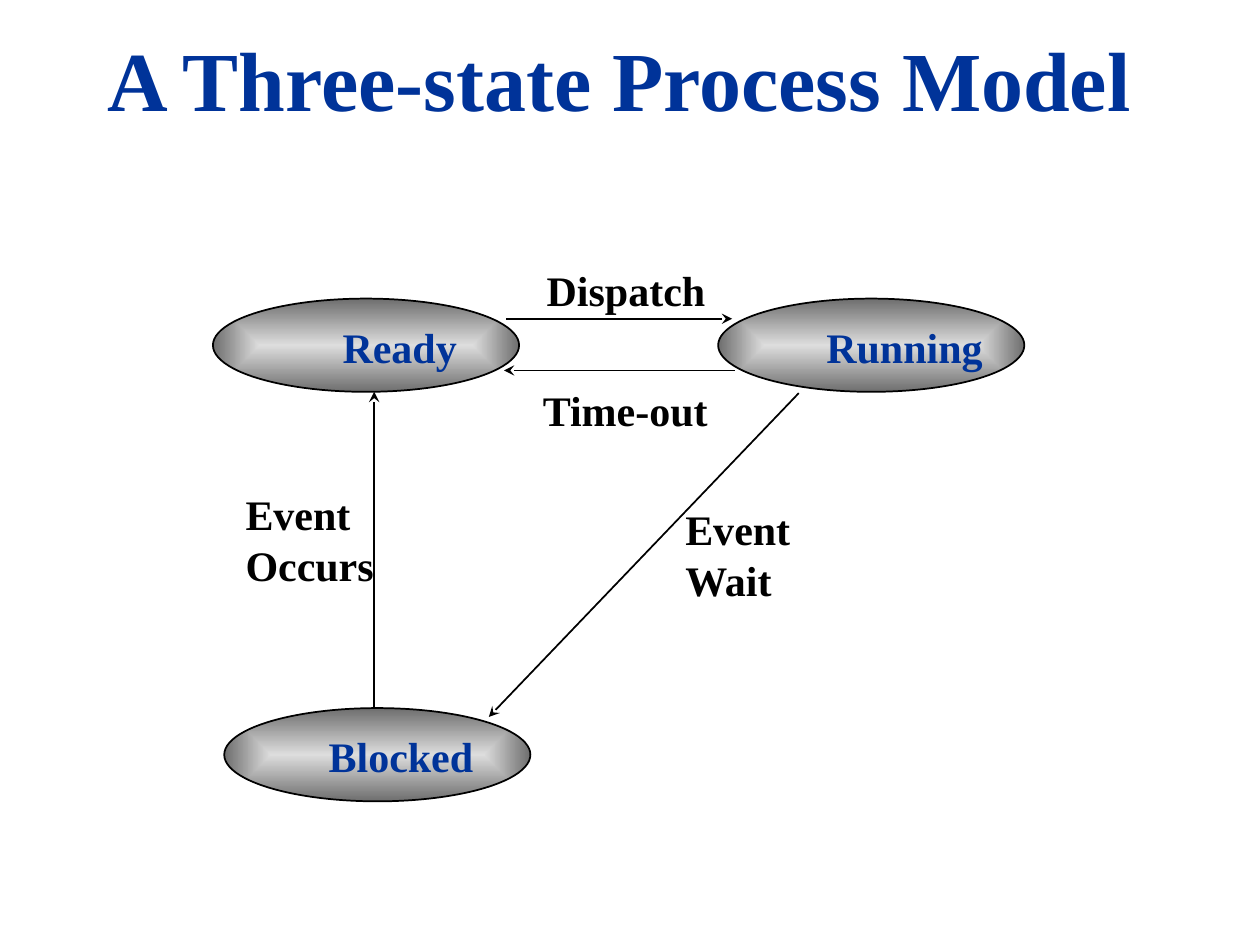
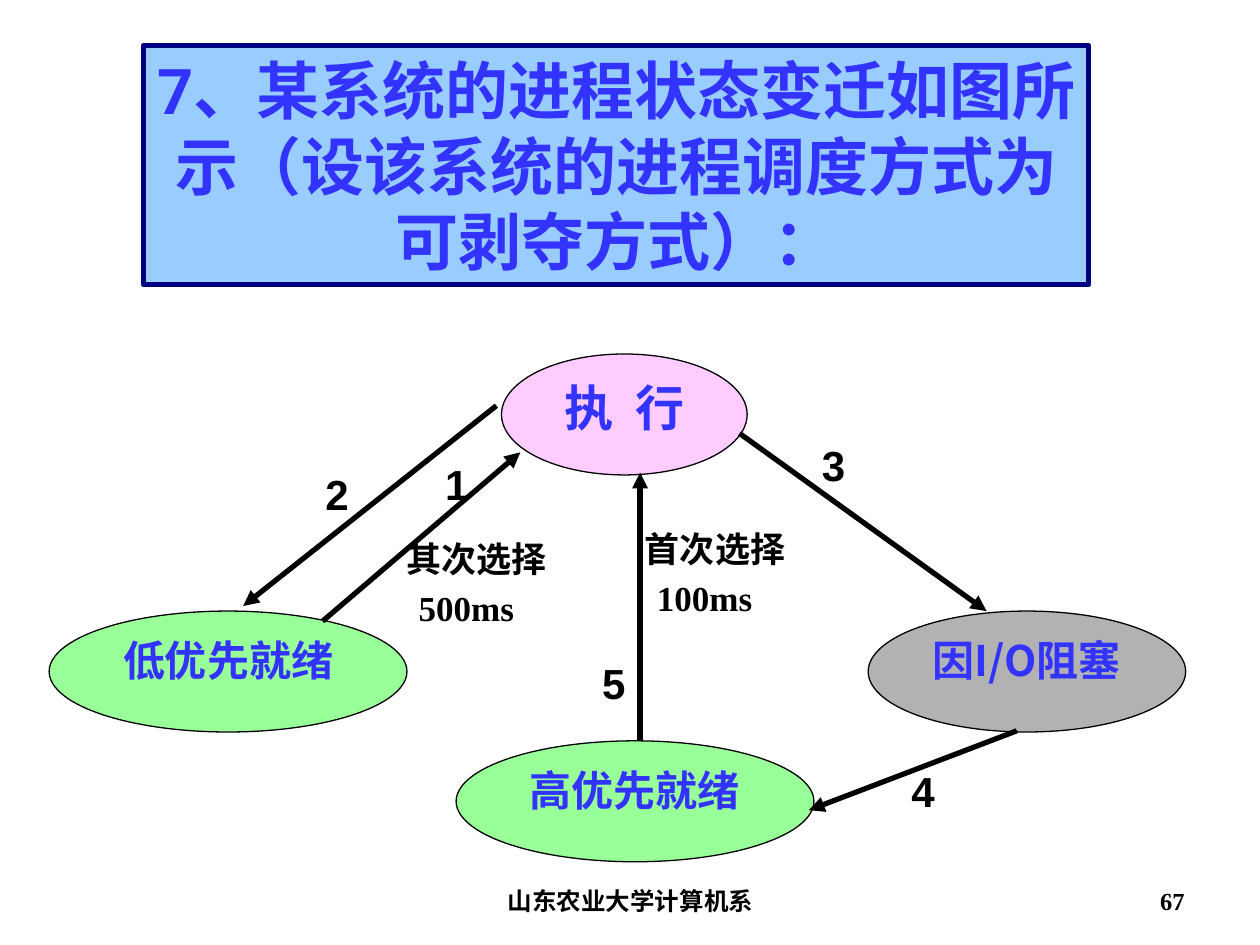
from lxml import etree
from pptx import Presentation, util as u
from pptx.dml.color import RGBColor
from pptx.enum import shapes, text
from pptx.oxml import ns

PX = 9144  # EMU per px, 100 px to the inch
SERIF, SANS, CJK, HEADING = "Times New Roman", "Arial", "Noto Sans CJK SC", "Roboto"
BLACK, NAVY, BLUE = "000000", "003399", "3333FF"
LEFT, CENTER, RIGHT = text.PP_ALIGN.LEFT, text.PP_ALIGN.CENTER, text.PP_ALIGN.RIGHT
TOP, MIDDLE = text.MSO_ANCHOR.TOP, text.MSO_ANCHOR.MIDDLE


def rgb(code):
    return RGBColor.from_string(code)


def px(*lengths):
    return [length * PX for length in lengths]


def assign(target, values):
    for name, value in values.items():
        setattr(target, name, value)


class Deck:
    """Holds the shared style and the slide being drawn."""

    def __init__(self, width, height):
        self.prs = Presentation()
        self.prs.slide_width, self.prs.slide_height = px(width, height)

    def new_slide(self):
        self.slide = self.prs.slides.add_slide(self.prs.slide_layouts[6])

    def fill_text(self, shape, lines, size=24, font=SERIF, color=BLACK,
                  align=LEFT, anchor=TOP, wrap=True, spacing=0):
        frame = shape.text_frame
        assign(frame, {"word_wrap": wrap, "vertical_anchor": anchor,
                       "text": lines})
        for paragraph in frame.paragraphs:
            paragraph.alignment = align
            for run in paragraph.runs:
                assign(run.font, {"size": u.Pt(size), "name": font, "bold": True})
                run.font.color.rgb = rgb(color)
                if spacing:
                    run._r.get_or_add_rPr().set("spc", str(spacing * 100))

    def label(self, box, lines, **style):
        caption = self.slide.shapes.add_textbox(*px(*box))
        self.fill_text(caption, lines, **style)
        return caption

    def outlined(self, kind, box, fill=None, weight=1, outline=BLACK):
        shape = self.slide.shapes.add_shape(kind, *px(*box))
        shape.shadow.inherit = False
        if fill:
            shape.fill.solid()
            shape.fill.fore_color.rgb = rgb(fill)
        shape.line.color.rgb = rgb(outline)
        shape.line.width = u.Pt(weight)
        return shape

    def oval(self, box, **style):
        return self.outlined(shapes.MSO_SHAPE.OVAL, box, **style)

    def metal_oval(self, box):
        """Oval shaded from a light centre to a dark rim."""
        state = self.oval(box)
        state.fill.gradient()
        for stop, shade in zip(state.fill.gradient_stops, ("DDDDDD", "6E6E6E")):
            stop.color.rgb = rgb(shade)
        linear = state._element.spPr.find(".//" + ns.qn("a:lin"))
        rect = etree.Element(ns.qn("a:path"), {"path": "rect"})
        etree.SubElement(rect, ns.qn("a:fillToRect"),
                         dict.fromkeys("ltrb", "50000"))
        linear.getparent().replace(linear, rect)

    def arrow(self, ends, weight, head):
        link = self.slide.shapes.add_connector(
            shapes.MSO_CONNECTOR.STRAIGHT, *px(*ends))
        link.line.color.rgb = rgb(BLACK)
        link.line.width = u.Pt(weight)
        properties = link._element.spPr
        etree.SubElement(properties.find(ns.qn("a:ln")), ns.qn("a:tailEnd"),
                         {"type": head})
        etree.SubElement(properties, ns.qn("a:effectLst"))


def three_state_model(deck):
    deck.new_slide()
    deck.label((33, 28, 917, 67), "A Three-state Process Model",
               size=48, color=NAVY, align=CENTER, anchor=MIDDLE)

    states = [
        ("Ready", (169, 237), (262, 111)),
        ("Running", (570, 237), (646, 144)),
        ("Blocked", (178, 562), (251, 135)),
    ]
    for name, (left, top), (name_left, name_width) in states:
        deck.metal_oval((left, top, 243, 74))
        deck.label((name_left, top + 13, name_width, 50), name,
                   color=NAVY, wrap=False)

    transitions = [
        ("Dispatch", (424, 205, 162, 50), (402, 253, 581, 253)),
        ("Time-out", (421, 300, 184, 50), (583, 294, 400, 294)),
        ("Event\nOccurs", (185, 383, 172, 90), (297, 562, 297, 311)),
        ("Event\nWait", (534, 395, 142, 90), (634, 312, 388, 569)),
    ]
    for event, box, ends in transitions:
        deck.arrow(ends, 1, "stealth")
        deck.label(box, event)


def priority_scheduling(deck):
    deck.new_slide()
    footer = {"size": 14, "anchor": MIDDLE}
    deck.label((342, 695, 317, 40), "山东农业大学计算机系", align=CENTER, **footer)
    deck.label((717, 695, 233, 40), "67", align=RIGHT, **footer)

    question = deck.outlined(shapes.MSO_SHAPE.RECTANGLE, (114, 36, 750, 190),
                             fill="99CCFF", weight=3, outline="000080")
    deck.fill_text(question,
                   "7、某系统的进程状态变迁如图所示（设该系统的进程调度方式为可剥夺方式）：",
                   size=36, font=HEADING, color=BLUE, align=CENTER)

    states = [
        ("执 行", (398, 281, 195), "FFCCFF", {"size": 28, "spacing": 3}),
        ("因I/O阻塞", (689, 485, 252), "B2B2B2", {}),
        ("低优先就绪", (39, 485, 284), "99FF99", {}),
        ("高优先就绪", (362, 588, 284), "99FF99", {}),
    ]
    for name, (left, top, width), fill, style in states:
        state = deck.oval((left, top, width, 96), fill=fill, weight=0.75)
        deck.fill_text(state, name, font=CJK, color=BLUE, align=CENTER, **style)

    transitions = [
        ("1", (343, 359, 39), (256, 493, 413, 359)),
        ("2", (248, 367, 39), (394, 322, 193, 481)),
        ("3", (642, 344, 39), (587, 344, 783, 485)),
        ("4", (705, 603, 55), (807, 580, 642, 643)),
        ("5", (468, 517, 32), (508, 588, 508, 375)),
    ]
    for number, (left, top, width), ends in transitions:
        deck.arrow(ends, 3, "triangle")
        deck.label((left, top, width, 50), number, font=SANS, align=CENTER)

    choices = [("首次选择\n100ms", (500, 414)), ("其次选择\n500ms", (311, 422))]
    for choice, corner in choices:
        note = deck.label((*corner, 135, 84), choice, size=20, align=CENTER)
        time_slice = note.text_frame.paragraphs[1]
        time_slice.space_before = u.Pt(4)
        time_slice._p.get_or_add_pPr().set("marR", str(u.Pt(12)))


def main():
    deck = Deck(1000, 750)
    three_state_model(deck)
    priority_scheduling(deck)
    deck.prs.save("out.pptx")


if __name__ == "__main__":
    main()
